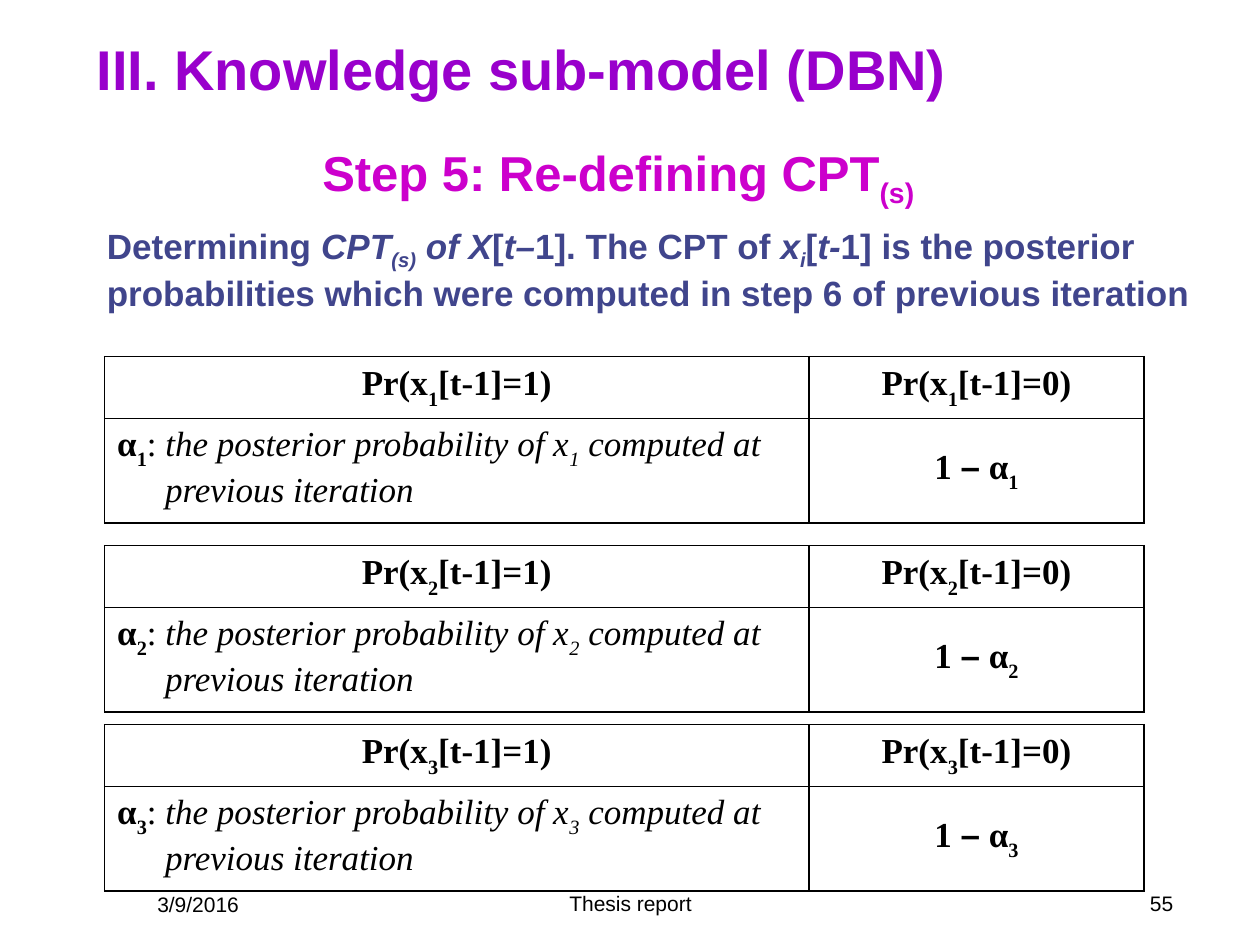
"""Build the slide on re-defining the CPTs of the knowledge sub-model."""
import pptx
import pptx.dml.color
import pptx.enum.text
import pptx.oxml.ns
import pptx.util
from lxml import etree

Inches = pptx.util.Inches
ALIGN = pptx.enum.text.PP_ALIGN
ANCHOR = pptx.enum.text.MSO_ANCHOR
COLORS = {"title": "9900CC", "step": "CC00CC", "body": "40458C", "black": "000000"}
FORMATS = {
    "title": {"name": "Arial", "size": pptx.util.Pt(32), "bold": True},
    "step": {"name": "Arial", "size": pptx.util.Pt(28), "bold": True},
    "body": {"name": "Arial", "size": pptx.util.Pt(20), "bold": True},
    "cell": {"name": "Times New Roman", "size": pptx.util.Pt(20), "bold": False},
    "footer": {"name": "Arial", "size": pptx.util.Pt(12), "bold": False},
}
STYLES = {"b": {"bold": True}, "i": {"italic": True}, "a": {"name": "Arial"}}


def add_runs(p, runs, kind, base=-25000):
    """Add (text, style) runs: b bold, i italic, a Arial, s subscript."""
    for text, style in runs:
        r = p.add_run()
        r.text = text
        values = dict(FORMATS[kind])
        for key in style.replace("s", ""):
            values.update(STYLES[key])
        for name, value in values.items():
            setattr(r.font, name, value)
        r.font.color.rgb = pptx.dml.color.RGBColor.from_string(COLORS.get(kind, COLORS["black"]))
        if "s" in style:
            r._r.get_or_add_rPr().set("baseline", str(base))


def add_borders(cell):
    """Draw a 1 pt black line on each side of a cell."""
    tcPr = cell._tc.get_or_add_tcPr()
    for i, side in enumerate(("lnL", "lnR", "lnT", "lnB")):
        ln = etree.Element(pptx.oxml.ns.qn("a:" + side), w=str(pptx.util.Pt(1)))
        fill = etree.SubElement(ln, pptx.oxml.ns.qn("a:solidFill"))
        etree.SubElement(fill, pptx.oxml.ns.qn("a:srgbClr"), val=COLORS["black"])
        tcPr.insert(i, ln)


prs = pptx.Presentation()
prs.slide_width, prs.slide_height = Inches(10), Inches(7.5)
s = prs.slides.add_slide(prs.slide_layouts[6])

body = [
    ("Determining", ""), (" CPT", "i"), ("(s)", "is"), (" of X", "i"), ("[", ""),
    ("t–", "i"), ("1]. The CPT of ", ""), ("x", "i"), ("i", "is"), ("[", ""), ("t-", "i"),
    ("1] is the posterior probabilities which were computed in step 6 of previous iteration", ""),
]
step = [("Step 5: Re-defining CPT", ""), ("(s)", "s")]
texts = [
    ("title", (0.67, 0.08, 8.92, 0.92), ALIGN.LEFT, ANCHOR.MIDDLE, True,
     [("III. Knowledge sub-model (DBN)", "")]),
    ("step", (2.46, 1.08, 4.96, 0.57), ALIGN.LEFT, ANCHOR.TOP, False, step),
    ("body", (0.75, 1.73, 8.83, 0.77), ALIGN.LEFT, ANCHOR.TOP, True, body),
    ("footer", (1.15, 7.03, 2.33, 0.52), ALIGN.LEFT, ANCHOR.TOP, True, [("3/9/2016", "")]),
    ("footer", (3.42, 7.02, 3.17, 0.52), ALIGN.CENTER, ANCHOR.TOP, True, [("Thesis report", "")]),
    ("footer", (7.08, 7.02, 2.33, 0.52), ALIGN.RIGHT, ANCHOR.TOP, True, [("55", "")]),
]
for kind, box, align, anchor, wrap, runs in texts:
    tf = s.shapes.add_textbox(*map(Inches, box)).text_frame
    tf.word_wrap = wrap
    tf.vertical_anchor = anchor
    tf.paragraphs[0].alignment = align
    add_runs(tf.paragraphs[0], runs, kind)

tables = [("1", 2.83, (0.47, 0.77)), ("2", 4.33, (0.47, 0.77)), ("3", 5.75, (0.49, 0.83))]
for n, top, heights in tables:
    sp = s.shapes.add_table(2, 2, Inches(0.83), Inches(top), Inches(8.25), Inches(sum(heights)))
    table = sp.table
    table.first_row = table.horz_banding = False
    for column, width in zip(table.columns, (5.59, 2.66)):
        column.width = Inches(width)
    for row, height in zip(table.rows, heights):
        row.height = Inches(height)
    cells = [
        [("Pr(x", "b"), (n, "bs"), ("[t-1]=1)", "b")],
        [("Pr(x", "b"), (n, "bs"), ("[t-1]=0)", "b")],
        [("α", "b"), (n, "bs"), (": ", ""), ("the posterior probability of x", "i"),
         (n, "is"), (" computed at previous iteration", "i")],
        [("1 ", "b"), ("–", "ba"), (" α", "b"), (n, "bs")],
    ]
    for i, (cell, runs) in enumerate(zip(table.iter_cells(), cells)):
        definition = i == 2
        cell.fill.background()
        cell.vertical_anchor = ANCHOR.TOP if definition else ANCHOR.MIDDLE
        add_borders(cell)
        p = cell.text_frame.paragraphs[0]
        p.alignment = ALIGN.LEFT if definition else ALIGN.CENTER
        pPr = p._p.get_or_add_pPr()
        pPr.set("marL", str(Inches(0.38)))
        pPr.set("indent", str(Inches(-0.38)))
        add_runs(p, runs, "cell", -30000)

prs.save("out.pptx")
